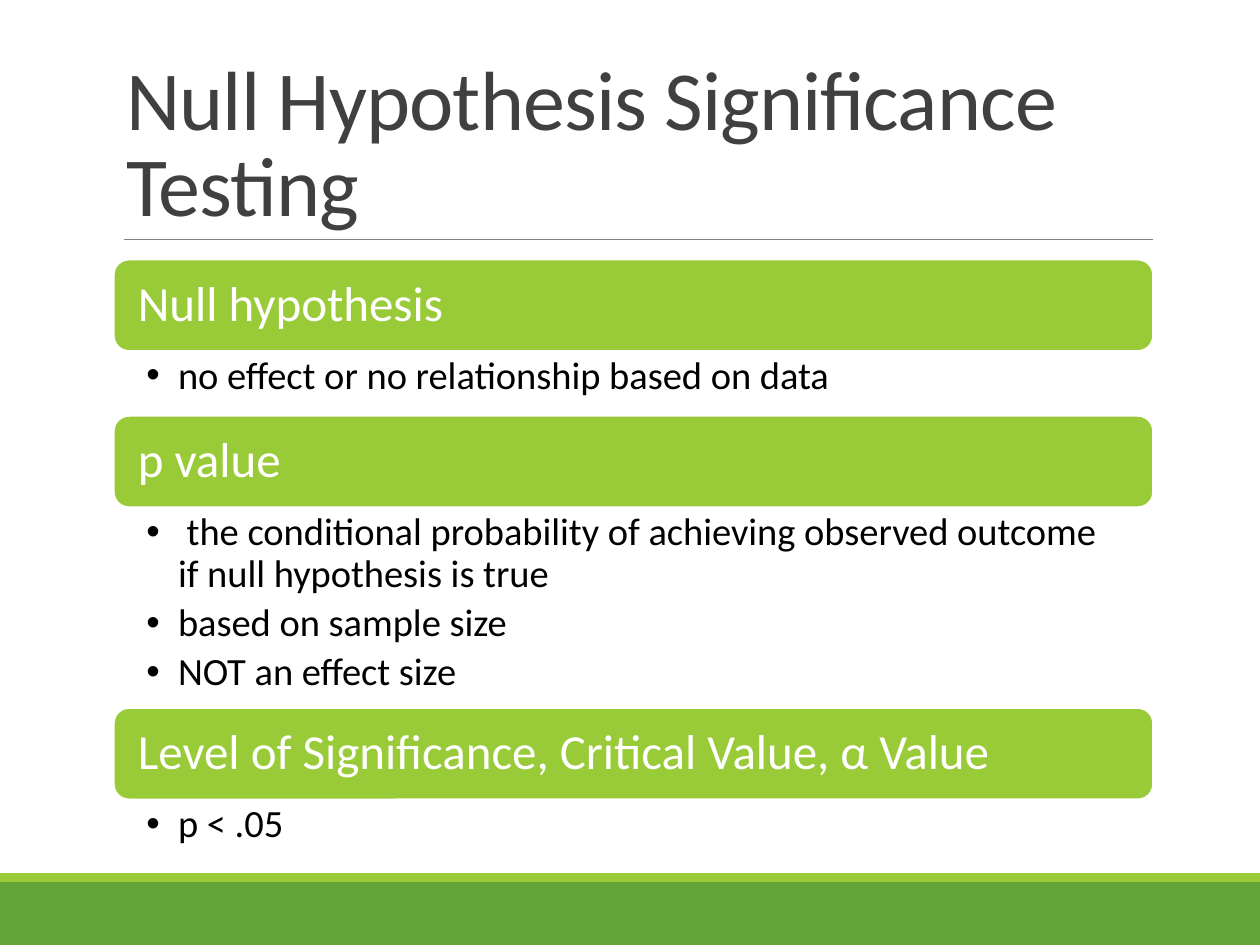
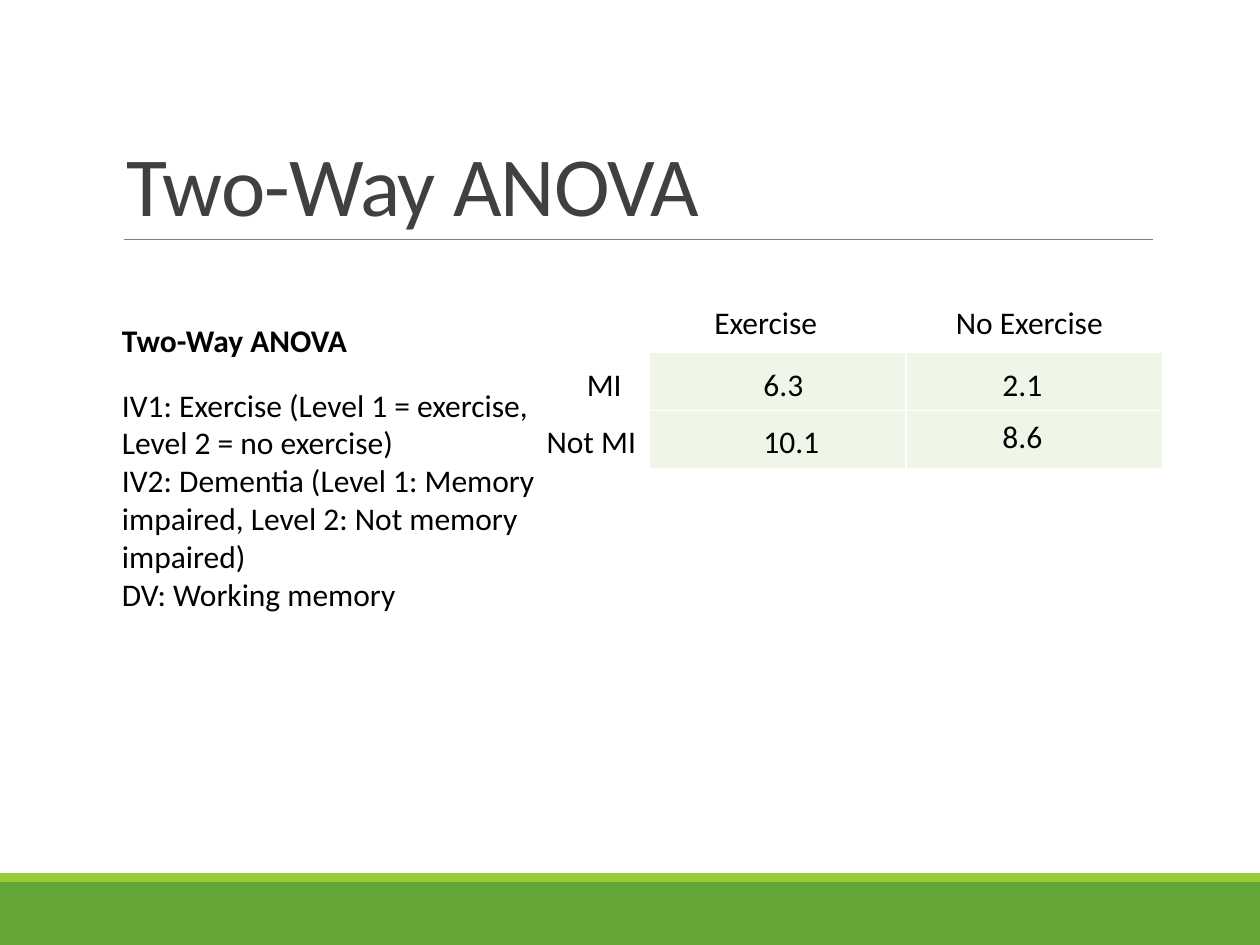
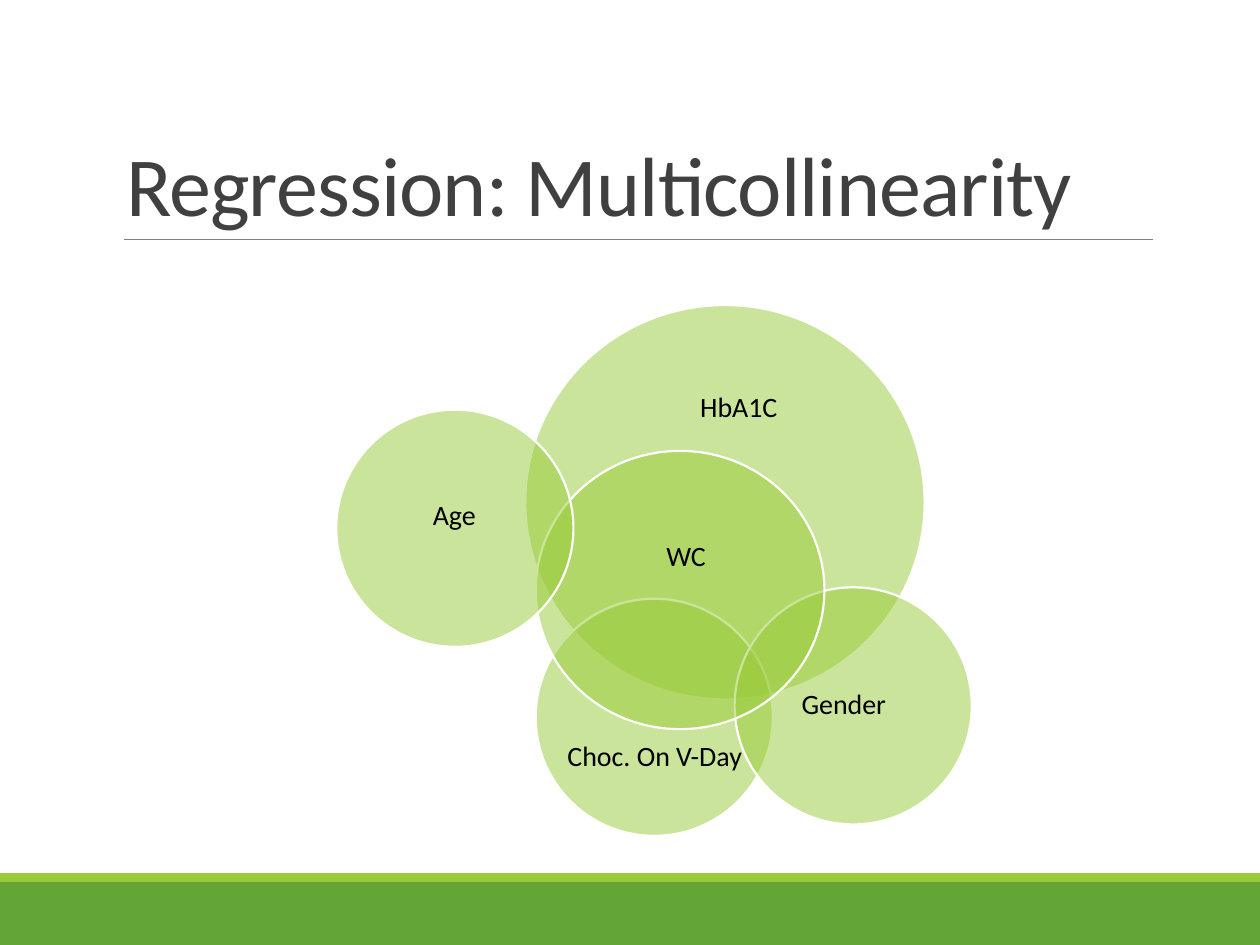
import pptx
import pptx.util
import pptx.dml.color
import pptx.enum.shapes
import pptx.enum.text
import pptx.oxml.ns
import lxml.etree

Cm, Pt = pptx.util.Cm, pptx.util.Pt
SHAPES = pptx.enum.shapes.MSO_SHAPE
ALIGN = pptx.enum.text.PP_ALIGN
ANCHOR = pptx.enum.text.MSO_ANCHOR

# Shared look
FONT = "Calibri"
GREEN, LIME, PALE = "63A537", "99CB38", "EFF6E8"
WHITE, BLACK, GRAY, CHARCOAL = "FFFFFF", "000000", "808080", "404040"
LEFT, WIDTH = 2.29, 20.96
SLIDE_WIDTH, SLIDE_HEIGHT = 25.4, 19.05


def rgb(value):
    return pptx.dml.color.RGBColor.from_string(value)


def add_xml(parent, tag, **attributes):
    return lxml.etree.SubElement(parent, pptx.oxml.ns.qn(tag), **attributes)


def write(frame, lines, size=18, color=BLACK, bold=False, align=ALIGN.LEFT,
          anchor=ANCHOR.TOP, spacing=1.0, after=0, margins=None, bullet=None,
          tracking=None):
    """Fill a text frame, one paragraph for each line."""
    frame.word_wrap = True
    frame.auto_size = pptx.enum.text.MSO_AUTO_SIZE.NONE
    frame.vertical_anchor = anchor
    if margins:
        (frame.margin_left, frame.margin_top,
         frame.margin_right, frame.margin_bottom) = map(Cm, margins)
    for number, line in enumerate(lines):
        paragraph = frame.add_paragraph() if number else frame.paragraphs[0]
        paragraph.alignment = align
        paragraph.line_spacing = spacing
        paragraph.space_after = Pt(after)
        run = paragraph.add_run()
        run.text = line
        run.font.name, run.font.size, run.font.bold = FONT, Pt(size), bold
        run.font.color.rgb = rgb(color)
        if tracking:
            run.font._element.set("spc", str(int(tracking * 100)))
        if bullet:
            properties = paragraph._p.get_or_add_pPr()
            properties.set("marL", str(Cm(0.64)))
            properties.set("indent", str(-Cm(0.64)))
            add_xml(properties, "a:buFont", typeface="Arial")
            add_xml(properties, "a:buChar", char=bullet)


def add_label(slide, lines, box, **text_format):
    label = slide.shapes.add_textbox(*map(Cm, box))
    write(label.text_frame, lines, **text_format)


def add_filled(slide, kind, box, fill, outline=None, opacity=None):
    shape = slide.shapes.add_shape(kind, *map(Cm, box))
    shape.shadow.inherit = False
    shape.fill.solid()
    shape.fill.fore_color.rgb = rgb(fill)
    if opacity:
        color = shape._element.spPr.find(".//" + pptx.oxml.ns.qn("a:srgbClr"))
        add_xml(color, "a:alpha", val=str(opacity * 1000))
    if outline:
        shape.line.color.rgb = rgb(outline)
        shape.line.width = Pt(1.25)
    else:
        shape.line.fill.background()
    return shape


def add_slide(deck, heading):
    """Title, rule below it and the two footer bands."""
    slide = deck.slides.add_slide(deck.slide_layouts[5])
    title = slide.shapes.title
    title.left, title.top, title.width, title.height = map(
        Cm, (LEFT, 0.79, WIDTH, 4.04))
    write(title.text_frame, [heading], size=48, color=CHARCOAL,
          anchor=ANCHOR.BOTTOM, spacing=0.85, tracking=-0.5)

    add_filled(slide, SHAPES.RECTANGLE, (0, 17.78, SLIDE_WIDTH, 1.27), GREEN)
    add_filled(slide, SHAPES.RECTANGLE, (0, 17.6, SLIDE_WIDTH, 0.18), LIME)
    rule = slide.shapes.add_connector(
        pptx.enum.shapes.MSO_CONNECTOR.STRAIGHT,
        Cm(2.49), Cm(4.83), Cm(23.24), Cm(4.83))
    rule.line.color.rgb = rgb(GRAY)
    rule.line.width = Pt(0.5)
    add_xml(rule._element.spPr, "a:effectLst")
    return slide


def add_sections(slide, sections):
    """Stack a green header and its bullets for each section."""
    top, header_height = 5.23, 1.85
    for header, points, points_height in sections:
        bar = add_filled(slide, SHAPES.ROUNDED_RECTANGLE,
                         (LEFT, top, WIDTH, header_height), LIME, WHITE)
        write(bar.text_frame, [header], size=28, color=WHITE, spacing=0.9,
              anchor=ANCHOR.MIDDLE, margins=(0.4, 0.3, 0.4, 0.3))
        top += header_height
        add_label(slide, points, (LEFT, top, WIDTH, points_height), size=22,
                  spacing=0.9, after=4.4, bullet="•",
                  margins=(0.66, 0.1, 0.56, 0.1))
        top += points_height


def add_grid(slide, left, top, column_width, row_height):
    """Pale 2 x 2 table with white borders."""
    table = slide.shapes.add_table(
        2, 2, Cm(left), Cm(top), Cm(2 * column_width), Cm(2 * row_height)).table
    table.first_row = table.horz_banding = False
    for cell in table.iter_cells():
        properties = cell._tc.get_or_add_tcPr()
        for side in ("a:lnL", "a:lnR", "a:lnT", "a:lnB"):
            border = add_xml(properties, side, w=str(Pt(1)))
            add_xml(add_xml(border, "a:solidFill"), "a:srgbClr", val=WHITE)
        cell.fill.solid()
        cell.fill.fore_color.rgb = rgb(PALE)


def add_variable(slide, name, circle, label):
    """Half-transparent circle with its name."""
    add_filled(slide, SHAPES.OVAL, circle, LIME, WHITE, opacity=50)
    add_label(slide, [name], label, size=16, align=ALIGN.CENTER,
              anchor=ANCHOR.MIDDLE, spacing=0.9, margins=(0, 0, 0, 0))


def build_hypothesis(deck):
    slide = add_slide(deck, "Null Hypothesis Significance Testing")
    add_sections(slide, [
        ("Null hypothesis", ["no effect or no relationship based on data"], 1.3),
        ("p value",
         [" the conditional probability of achieving observed outcome "
          "if null hypothesis is true",
          "based on sample size",
          "NOT an effect size"], 4.04),
        ("Level of Significance, Critical Value, α Value", ["p < .05"], 1.3),
    ])


def build_anova(deck):
    slide = add_slide(deck, "Two-Way ANOVA")
    add_grid(slide, 13.08, 7.11, 5.18, 1.17)

    # Design of the study
    add_label(slide, ["Two-Way ANOVA"], (2.21, 6.35, 9.73, 1.02), bold=True)
    add_label(slide, [
        "IV1: Exercise (Level 1 = exercise, Level 2 = no exercise)",
        "IV2: Dementia (Level 1: Memory impaired, Level 2: Not memory impaired)",
        "DV: Working memory",
    ], (2.21, 7.65, 9.09, 4.88))

    # Group names and means around and over the grid
    for text, left, top, width in [
        ("Exercise", 14.15, 5.99, 3.45), ("No Exercise", 19.02, 5.99, 4.5),
        ("MI", 11.58, 7.24, 1.7), ("Not MI", 10.77, 8.38, 2.51),
        ("6.3", 15.14, 7.24, 1.7), ("2.1", 19.96, 7.24, 1.7),
        ("10.1", 15.14, 8.38, 1.7), ("8.6", 19.96, 8.28, 1.7),
    ]:
        add_label(slide, [text], (left, top, width, 1.02))


def build_regression(deck):
    slide = add_slide(deck, "Regression: Multicollinearity")
    small, label = (4.78, 4.78), (3.94, 1.75)
    for name, circle_at, circle_size, label_at, label_size in [
        ("HbA1C", (10.59, 6.15), (8.05, 7.95), (12.7, 7.42), (4.39, 1.63)),
        ("Choc. On V-Day", (10.8, 12.07), small, (11.23, 14.4), label),
        ("Gender", (14.81, 11.84), small, (15.04, 13.34), label),
        ("WC", (10.8, 9.09), (5.82, 5.61), (11.86, 10.36), label),
        ("Age", (6.78, 8.26), small, (7.19, 9.53), label),
    ]:
        add_variable(slide, name, circle_at + circle_size, label_at + label_size)


def main():
    deck = pptx.Presentation()
    deck.slide_width, deck.slide_height = Cm(SLIDE_WIDTH), Cm(SLIDE_HEIGHT)
    build_hypothesis(deck)
    build_anova(deck)
    build_regression(deck)
    deck.save("out.pptx")


main()
